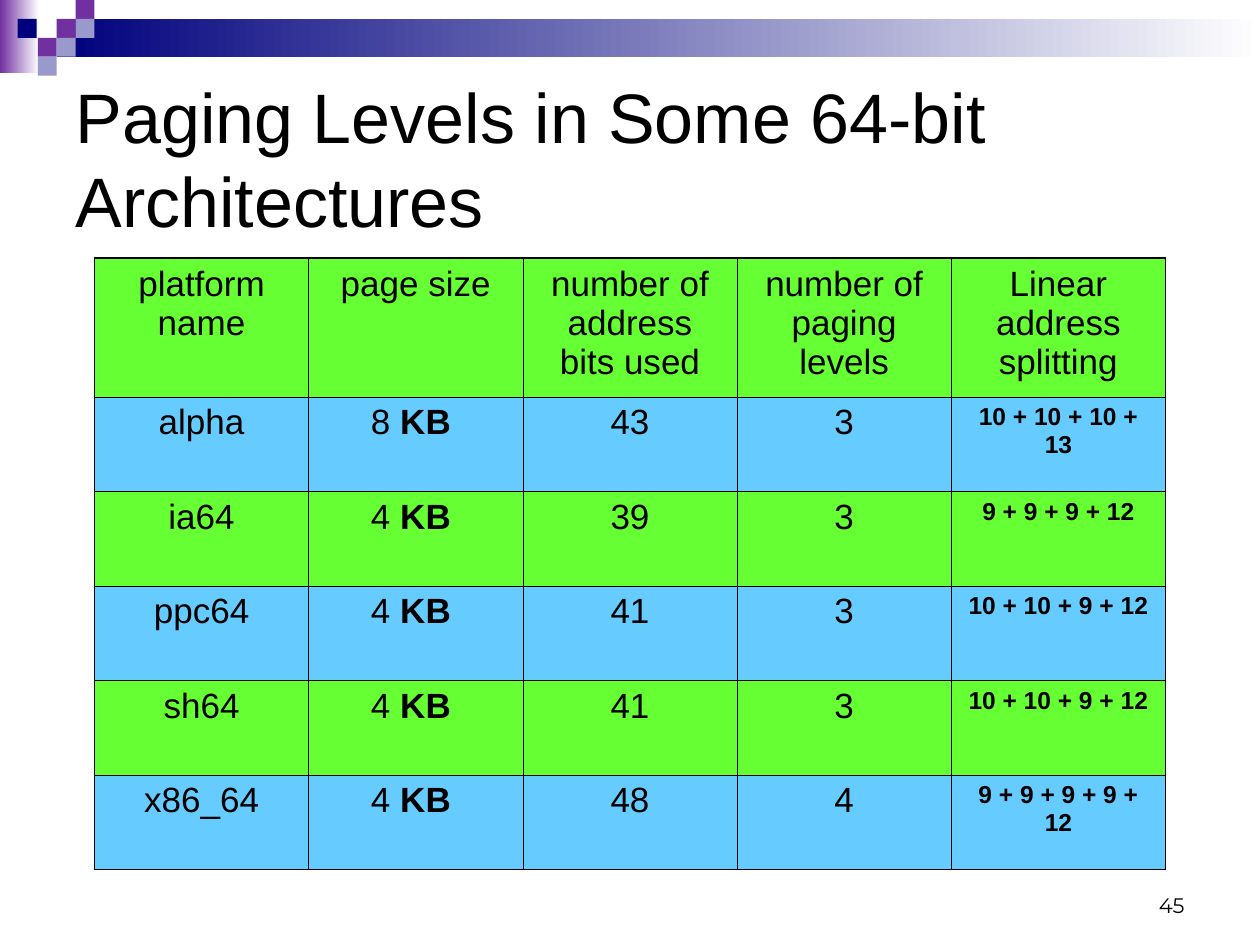
from dataclasses import dataclass
from lxml.etree import SubElement
from pptx import Presentation
from pptx.dml.color import RGBColor as Rgb
from pptx.enum.shapes import MSO_SHAPE as Kind
from pptx.enum.text import MSO_ANCHOR as Anchor, MSO_AUTO_SIZE as Fit, PP_ALIGN as Align
from pptx.oxml.ns import qn
from pptx.util import Inches, Pt

HUES = {
    "ink": "000000", "white": "FFFFFF", "plum": "7030A0", "navy": "00007D",
    "lilac": "9999CC", "green": "66FF33", "blue": "66CCFF",
}
STEP = 0.15
TILES = [
    (0.45, 1, "plum"), (0.6, 0, "plum"), (0.6, 1, "lilac"), (0.3, 2, "plum"),
    (0.14, 1, "navy"), (0.45, 2, "lilac"), (0.3, 3, "lilac"),
]
HEADS = ["platform name", "page size", "number of address bits used",
         "number of paging levels", "Linear address splitting"]
ROWS = [
    ("alpha", "8", "43", "3", "10 + 10 + 10 + 13"),
    ("ia64", "4", "39", "3", "9 + 9 + 9 + 12"),
    ("ppc64", "4", "41", "3", "10 + 10 + 9 + 12"),
    ("sh64", "4", "41", "3", "10 + 10 + 9 + 12"),
    ("x86_64", "4", "48", "4", "9 + 9 + 9 + 9 + 12"),
]


def hue(name):
    return Rgb.from_string(HUES[name])


def write(para, text, size=20, font="Arial", bold=False, align=Align.LEFT, before=0):
    para.alignment = align
    para.space_before = Pt(before)
    run = para.add_run()
    run.text = text
    run.font.size = Pt(size)
    run.font.name = font
    run.font.bold = bold
    run.font.color.rgb = hue("ink")


def edge(cell, side, width):
    line = SubElement(cell._tc.get_or_add_tcPr(), qn(f"a:ln{side}"), w=str(Pt(width)))
    fill = SubElement(line, qn("a:solidFill"))
    SubElement(fill, qn("a:srgbClr"), val=HUES["ink"])


@dataclass
class Deck:
    slide: object
    thin: float = 0.45
    thick: float = 1.08

    def rect(self, x, y, w, h, tint, fade=False):
        box = self.slide.shapes.add_shape(
            Kind.RECTANGLE, Inches(x), Inches(y), Inches(w), Inches(h))
        box.shadow.inherit = False
        box.line.fill.background()
        if fade:
            box.fill.gradient()
            box.fill.gradient_angle = 0
            for stop, name, place in zip(box.fill.gradient_stops, (tint, "white"), (0, 1)):
                stop.color.rgb = hue(name)
                stop.position = place
        else:
            box.fill.solid()
            box.fill.fore_color.rgb = hue(tint)

    def title(self, text):
        box = self.slide.shapes.title
        box.left, box.top = Inches(0.5), Inches(0.5)
        box.width, box.height = Inches(9), Inches(1.5)
        frame = box.text_frame
        frame.auto_size = Fit.NONE
        frame.word_wrap = True
        frame.vertical_anchor = Anchor.MIDDLE
        write(frame.paragraphs[0], text, size=40)

    def number(self, text):
        box = self.slide.shapes.add_textbox(
            Inches(7.17), Inches(6.83), Inches(2.33), Inches(0.5))
        frame = box.text_frame
        frame.word_wrap = True
        frame.vertical_anchor = Anchor.BOTTOM
        write(frame.paragraphs[0], text, size=12, font="Montserrat", align=Align.RIGHT)

    def cell(self, cell, parts, tint, rims):
        for side in "LRTB":
            edge(cell, side, self.thick if side in rims else self.thin)
        cell.fill.solid()
        cell.fill.fore_color.rgb = hue(tint)
        for text, size, bold in parts:
            write(cell.text_frame.paragraphs[0], text, size=size, bold=bold,
                  align=Align.CENTER, before=size / 4)

    def table(self, heads, rows):
        data = [heads, *rows]
        grid = self.slide.shapes.add_table(
            len(data), len(heads), Inches(0.75), Inches(2.05), Inches(8.5), Inches(4.85)).table
        for col in grid.columns:
            col.width = Inches(1.7)
        for r, row in enumerate(data):
            grid.rows[r].height = Inches(0.75 if r else 1.1)
            for c, text in enumerate(row):
                parts = [(text, 20, False)]
                if r and c == 1:
                    parts = [(text + " ", 20, False), ("KB ", 20, True)]
                elif r and c == len(heads) - 1:
                    parts = [(text, 14, True)]
                outer = {"L": c == 0, "R": c == len(heads) - 1,
                         "T": r == 0, "B": r == len(data) - 1}
                rims = [side for side, on in outer.items() if on]
                self.cell(grid.cell(r, c), parts, "blue" if r % 2 else "green", rims)


def main():
    show = Presentation()
    show.slide_width, show.slide_height = Inches(10), Inches(7.5)
    deck = Deck(show.slides.add_slide(show.slide_layouts[5]))
    deck.rect(0, 0, 0.31, 0.58, "plum", fade=True)
    deck.rect(0.45, STEP, 9.55, 0.3, "navy", fade=True)
    for x, level, tint in TILES:
        deck.rect(x, level * STEP, STEP, STEP, tint)
    deck.number("45")
    deck.title("Paging Levels in Some 64-bit Architectures")
    deck.table(HEADS, ROWS)
    show.save("out.pptx")


if __name__ == "__main__":
    main()
